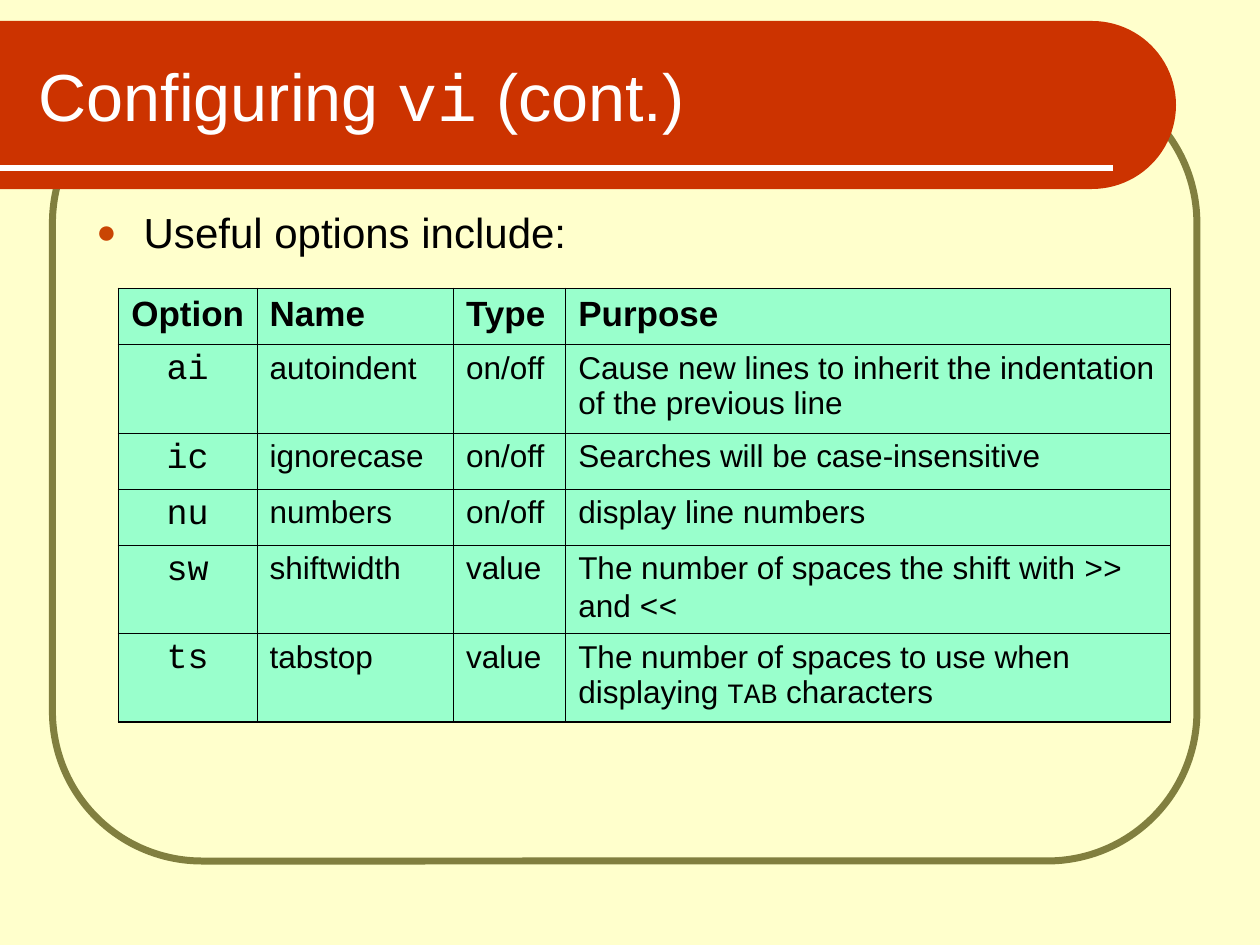
from dataclasses import dataclass
from math import cos, pi, sin

from lxml.etree import SubElement
from pptx import Presentation
from pptx.dml.color import RGBColor
from pptx.enum.shapes import MSO_CONNECTOR, MSO_SHAPE
from pptx.enum.text import MSO_ANCHOR, PP_ALIGN
from pptx.oxml.ns import qn
from pptx.util import Pt


@dataclass(frozen=True)
class Theme:
    # Colours
    cream: str = "FFFFCC"
    olive: str = "817F3F"
    red: str = "CC3300"
    white: str = "FFFFFF"
    black: str = "000000"
    mint: str = "99FFCC"
    rust: str = "C94503"
    # Fonts and type sizes
    sans: str = "Arial"
    mono: str = "Courier New"
    title: int = 38
    body: int = 24
    head: int = 20
    cell: int = 18
    small: int = 16
    # Line widths
    thick: float = 1.08
    thin: float = 0.45


LOOK = Theme()

# Text between backticks is set in the mono font
ROWS = [
    ("Option", "Name", "Type", "Purpose"),
    ("`ai`", "autoindent", "on/off",
     "Cause new lines to inherit the indentation of the previous line"),
    ("`ic`", "ignorecase", "on/off", "Searches will be case-insensitive"),
    ("`nu`", "numbers", "on/off", "display line numbers"),
    ("`sw`", "shiftwidth", "value",
     "The number of spaces the shift with `>>` and `<<`"),
    ("`ts`", "tabstop", "value",
     "The number of spaces to use when displaying `TAB` characters"),
]
WIDTHS = (79.2, 112.3, 64.1, 345.6)
HEIGHTS = (32, 50.6, 32, 32, 50.6, 50.6)


def tint(code):
    return RGBColor.from_string(code)


def write(para, text, size, color, bold=False):
    """Fill a paragraph, switching font at each backtick."""
    for k, part in enumerate(text.split("`")):
        if not part:
            continue
        run = para.add_run()
        run.text = part
        font = run.font
        font.name = LOOK.mono if k % 2 else LOOK.sans
        font.size = Pt(size)
        font.bold = bold
        font.color.rgb = tint(color)


def add_text(slide, box, text, size, color, anchor):
    frame = slide.shapes.add_textbox(*map(Pt, box)).text_frame
    frame.word_wrap = True
    frame.vertical_anchor = anchor
    para = frame.paragraphs[0]
    write(para, text, size, color)
    return para


def add_dot(para, indent):
    """Give a paragraph a round bullet with a hanging indent."""
    props = para._p.get_or_add_pPr()
    props.set("marL", str(Pt(indent)))
    props.set("indent", str(Pt(-indent)))
    hue = SubElement(props, qn("a:buClr"))
    SubElement(hue, qn("a:srgbClr"), val=LOOK.rust)
    SubElement(props, qn("a:buSzPct"), val="80000")
    SubElement(props, qn("a:buFont"), typeface=LOOK.sans)
    SubElement(props, qn("a:buChar"), char="\u25cf")


def add_frame(slide):
    frame = slide.shapes.add_shape(
        MSO_SHAPE.ROUNDED_RECTANGLE, Pt(30), Pt(42), Pt(654), Pt(450))
    frame.adjustments[0] = 0.19
    frame.shadow.inherit = False
    frame.fill.background()
    frame.line.color.rgb = tint(LOOK.olive)
    frame.line.width = Pt(4)


def add_band(slide):
    """Title band with a half-round right end."""
    top, radius, edge, steps = 12, 48, 624, 48
    mid = top + radius
    arc = []
    for k in range(steps + 1):
        turn = pi * k / steps - pi / 2
        arc.append((Pt(edge + radius * cos(turn)), Pt(mid + radius * sin(turn))))
    path = slide.shapes.build_freeform(Pt(0), Pt(top))
    path.add_line_segments(arc + [(Pt(0), Pt(top + 2 * radius))], close=True)
    band = path.convert_to_shape()
    band.shadow.inherit = False
    band.fill.solid()
    band.fill.fore_color.rgb = tint(LOOK.red)
    band.line.fill.background()


def add_rule(slide):
    rule = slide.shapes.add_connector(
        MSO_CONNECTOR.STRAIGHT, Pt(0), Pt(96), Pt(636), Pt(96))
    rule.line.color.rgb = tint(LOOK.white)
    rule.line.width = Pt(3)
    SubElement(rule._element.spPr, qn("a:effectLst"))


def add_edge(cell, side, width):
    props = cell._tc.get_or_add_tcPr()
    edge = SubElement(props, qn("a:ln" + side), w=str(Pt(width)))
    fill = SubElement(edge, qn("a:solidFill"))
    SubElement(fill, qn("a:srgbClr"), val=LOOK.black)


def add_grid(slide):
    last, end = len(ROWS) - 1, len(WIDTHS) - 1
    grid = slide.shapes.add_table(
        last + 1, end + 1, Pt(67.7), Pt(164.9),
        Pt(sum(WIDTHS)), Pt(sum(HEIGHTS))).table
    grid.first_row = grid.horz_banding = False
    for col, width in zip(grid.columns, WIDTHS):
        col.width = Pt(width)
    for row, height in zip(grid.rows, HEIGHTS):
        row.height = Pt(height)

    for r, line in enumerate(ROWS):
        for c, text in enumerate(line):
            cell = grid.cell(r, c)
            # Thick lines on the outside, thin ones within
            outer = {"L": c == 0, "R": c == end, "T": r == 0, "B": r == last}
            for side, out in outer.items():
                add_edge(cell, side, LOOK.thick if out else LOOK.thin)
            cell.fill.solid()
            cell.fill.fore_color.rgb = tint(LOOK.mint)
            cell.margin_left = cell.margin_right = Pt(7.2)
            cell.margin_top = cell.margin_bottom = Pt(3.6)
            # Header row and first column are larger
            size = LOOK.head if r == 0 or c == 0 else LOOK.cell
            para = cell.text_frame.paragraphs[0]
            para.alignment = PP_ALIGN.CENTER if c == 0 else PP_ALIGN.LEFT
            para.space_before = Pt(size / 4)
            write(para, text, size, LOOK.black, bold=r == 0)

    # The key name is slightly smaller
    key = grid.cell(last, end).text_frame.paragraphs[0].runs[1]
    key.font.size = Pt(LOOK.small)


def main():
    deck = Presentation()
    deck.slide_width, deck.slide_height = Pt(720), Pt(540)
    slide = deck.slides.add_slide(deck.slide_layouts[6])
    slide.background.fill.solid()
    slide.background.fill.fore_color.rgb = tint(LOOK.cream)

    # Backdrop
    add_frame(slide)
    add_band(slide)
    add_rule(slide)

    # Content
    add_text(slide, (15.1, 18, 631.4, 72), "Configuring `vi` (cont.)",
             LOOK.title, LOOK.white, MSO_ANCHOR.MIDDLE)
    point = add_text(slide, (48, 114.5, 638, 379.4), "Useful options include:",
                     LOOK.body, LOOK.black, MSO_ANCHOR.TOP)
    point.space_before = Pt(6)
    add_dot(point, 27)
    add_grid(slide)

    deck.save("out.pptx")


main()
